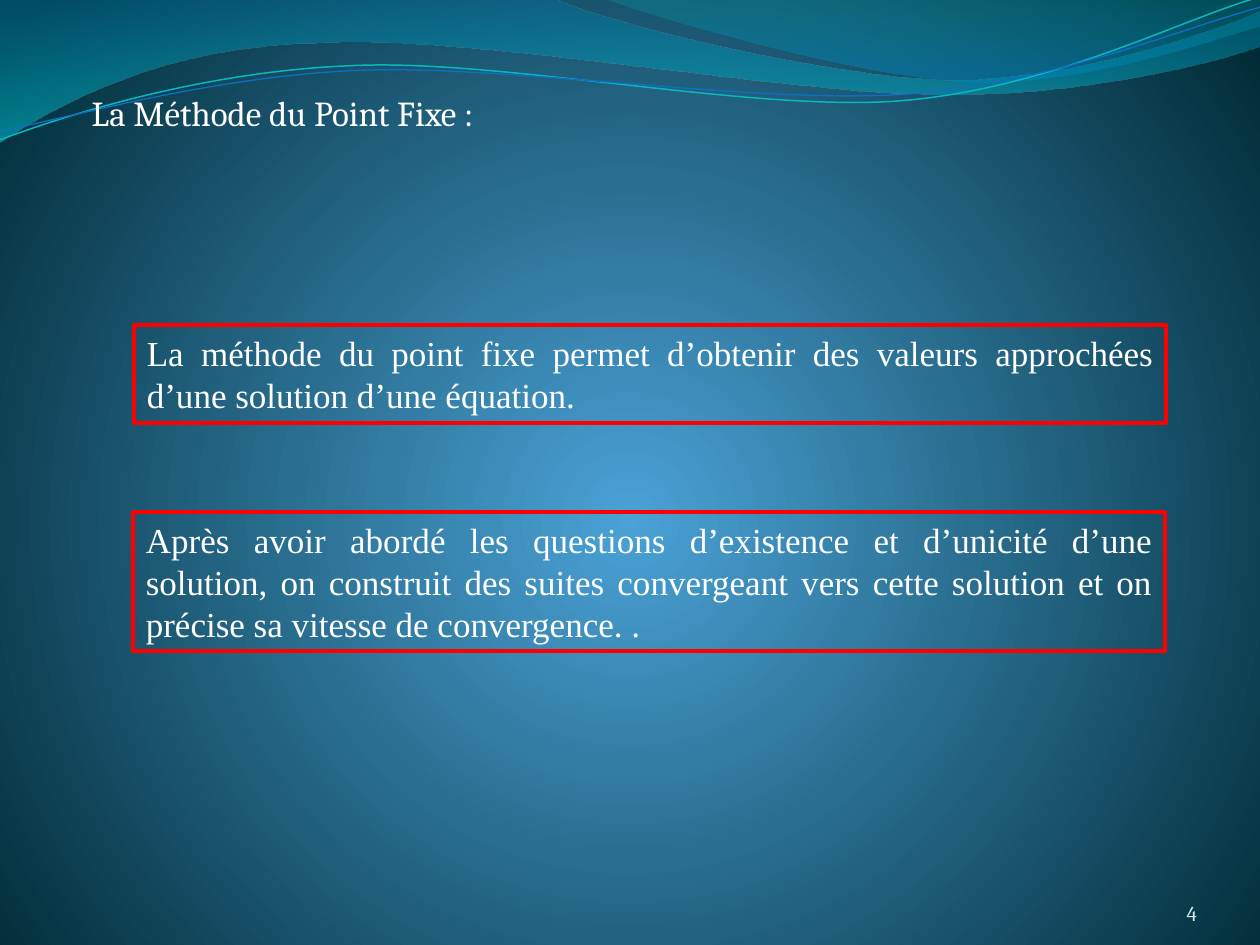
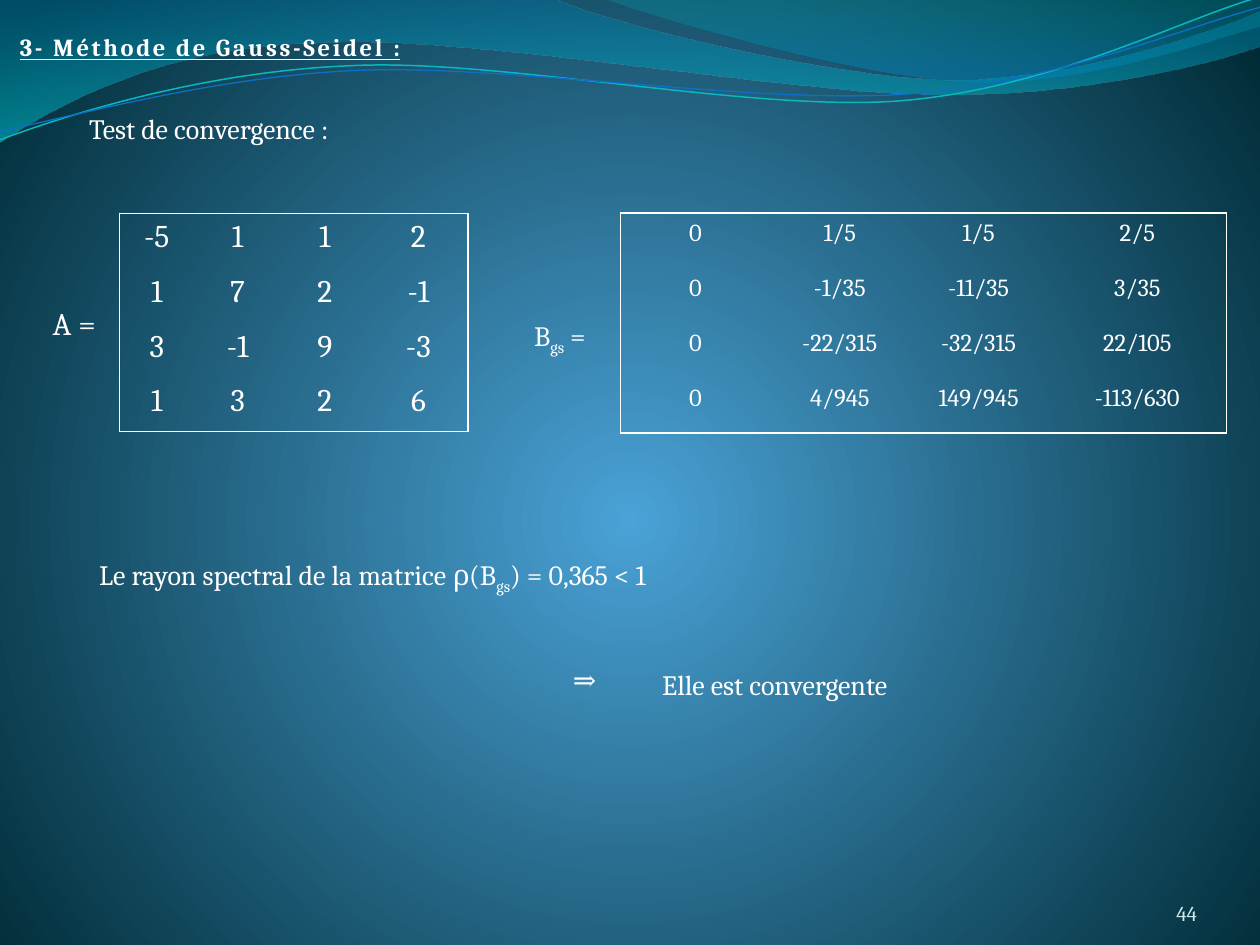
from lxml import etree
from pptx import Presentation
from pptx.dml.color import RGBColor
from pptx.enum.shapes import MSO_SHAPE
from pptx.enum.text import MSO_ANCHOR, MSO_AUTO_SIZE, PP_ALIGN
from pptx.oxml.ns import qn
from pptx.util import Cm, Pt

WHITE = RGBColor(0xFF, 0xFF, 0xFF)
RED = RGBColor(0xFF, 0x00, 0x00)
PALE = RGBColor(0xD1, 0xEA, 0xED)
SKY = RGBColor(0x4A, 0xA2, 0xD6)
NIGHT = RGBColor(0x00, 0x2B, 0x36)
BLUE = RGBColor(0x00, 0x74, 0xA0)
CYAN = RGBColor(0x00, 0xC4, 0xCD)
AZURE = RGBColor(0x00, 0x8A, 0xBF)
TEAL = RGBColor(0x00, 0xA0, 0xA8)
TURQUOISE = RGBColor(0x09, 0xB7, 0xBF)
COBALT = RGBColor(0x0F, 0x6F, 0xC6)

LEFT, CENTER, RIGHT, JUSTIFY = PP_ALIGN.LEFT, PP_ALIGN.CENTER, PP_ALIGN.RIGHT, PP_ALIGN.JUSTIFY
TOP, BOTTOM = MSO_ANCHOR.TOP, MSO_ANCHOR.BOTTOM
GROW, FIXED = MSO_AUTO_SIZE.SHAPE_TO_FIT_TEXT, MSO_AUTO_SIZE.NONE
RECTANGLE = MSO_SHAPE.RECTANGLE

HEADING_FONT = "Cambria"
BODY_FONT = "Times New Roman"
PLAIN_TABLE = "{2D5ABB26-0587-4C30-8999-92F81FD0307C}"
WAVE_TILT = 357.3

WIDE_BAND = ((0, 0), [
    [(11.18, -0.03)],
    [(12.09, 0.43), (16.87, 1.6), (19.25, 1.6)],
    [(21.67, 1.6), (24.33, 0.66), (25.4, 0.23)],
    [(25.43, 0.91)],
    [(24.97, 1.12), (22.1, 1.93), (18.95, 1.9)],
    [(15.8, 1.9), (9.7, 0.71), (6.53, 0.86)],
    [(3.28, 0.89), (1.17, 2.11), (-0.03, 2.87)],
])
CORNER_BAND = ((12.17, -0.03), [
    [(12.93, 0.28), (17.32, 1.57), (19.53, 1.65)],
    [(21.74, 1.75), (24.41, 0.81), (25.4, 0.53)],
    [(25.4, 0)],
])
UPPER_WAVE = ((-0.05, 2.22), [
    [(1.19, 1.82), (4.02, 1.04), (7.05, 1.06)],
    [(10.05, 1.04), (15.02, 2.37), (18.08, 2.29)],
    [(21.13, 2.2), (23.86, 0.91), (25.41, 0.55)],
])
LOWER_WAVE = ((-0.04, 2.04), [
    [(1.16, 1.89), (4.17, 1.15), (7.2, 1.16)],
    [(10.25, 1.18), (15.13, 2.22), (18.19, 2.16)],
    [(21.22, 2.1), (23.93, 1.06), (25.45, 0.75)],
])

MATRIX_A = [
    ["-5", "1", "1", "2"],
    ["1", "7", "2", "-1"],
    ["3", "-1", "9", "-3"],
    ["1", "3", "2", "6"],
]
MATRIX_BGS = [
    ["0", "1/5", "1/5", "2/5"],
    ["0", "-1/35", "-11/35", "3/35"],
    ["0", "-22/315", "-32/315", "22/105"],
    ["0", "4/945", "149/945", "-113/630"],
]


def add_child(parent, tag, **attributes):
    child = etree.SubElement(parent, qn(tag))
    for name, value in attributes.items():
        child.set(name, str(value))
    return child


def add_color(parent, color, opacity=100):
    solid = add_child(parent, "a:srgbClr", val=color)
    if opacity < 100:
        add_child(solid, "a:alpha", val=opacity * 1000)


def set_gradient(fill, element, stops, angle=None):
    fill.gradient()
    gradient = element.find(".//" + qn("a:gradFill"))
    for child in list(gradient):
        gradient.remove(child)
    stop_list = add_child(gradient, "a:gsLst")
    for position, color, opacity in stops:
        add_color(add_child(stop_list, "a:gs", pos=position * 1000), color, opacity)
    if angle is None:
        circle = add_child(gradient, "a:path", path="circle")
        add_child(circle, "a:fillToRect", l=50000, t=55000, r=50000, b=45000)
    else:
        add_child(gradient, "a:lin", ang=angle * 60000, scaled=0)


def bend_lines(shape, segments):
    lines = iter(shape._element.findall(".//" + qn("a:lnTo")))
    for segment in segments:
        first, *others = [next(lines) for _ in segment]
        if others:
            curve = etree.Element(qn("a:cubicBezTo"))
            first.addprevious(curve)
            for line in (first, *others):
                curve.append(line[0])
                line.getparent().remove(line)


def write(frame, text, size=16, font=HEADING_FONT, color=WHITE, align=LEFT,
          bold=False, underline=False, spacing=0):
    para = frame.paragraphs[0]
    para.alignment = align
    for index, part in enumerate(text.split("_")):
        span = para.add_run()
        span.text = part
        span.font.name = font
        span.font.size = Pt(size)
        span.font.color.rgb = color
        span.font.bold = bold
        span.font.underline = underline
        properties = span.font._element
        if spacing:
            properties.set("spc", str(int(spacing * 100)))
        if index % 2:
            properties.set("baseline", "-25000")


class SlideMaker:
    def __init__(self):
        self.deck = Presentation()
        self.deck.slide_width = Cm(25.4)
        self.deck.slide_height = Cm(19.05)
        master = self.deck.slide_master
        set_gradient(master.background.fill, master.element, [(0, SKY, 100), (100, NIGHT, 100)])
        self.page = None

    def new_page(self, number):
        self.page = self.deck.slides.add_slide(self.deck.slide_layouts[6])
        self.band(WIDE_BAND, [(0, BLUE, 45), (100, CYAN, 55)], 90)
        self.band(CORNER_BAND, [(20, AZURE, 45), (100, TEAL, 30)], 270)
        self.wave(UPPER_WAVE, TURQUOISE, 0.85)
        self.wave(LOWER_WAVE, COBALT, 0.75)
        self.text(number, 22.02, 17.65, 2.11, 1.02, margin=0, anchor=BOTTOM, autosize=FIXED,
                  size=12, color=PALE, align=RIGHT)

    def outline(self, curve, close):
        start, segments = curve
        builder = self.page.shapes.build_freeform(Cm(start[0]), Cm(start[1]))
        points = [(Cm(x), Cm(y)) for segment in segments for x, y in segment]
        builder.add_line_segments(points, close=close)
        shape = builder.convert_to_shape()
        shape.shadow.inherit = False
        bend_lines(shape, segments)
        return shape

    def band(self, curve, stops, angle):
        shape = self.outline(curve, True)
        shape.line.fill.background()
        set_gradient(shape.fill, shape._element, stops, angle)

    def wave(self, curve, color, width):
        shape = self.outline(curve, False)
        shape.rotation = WAVE_TILT
        shape.fill.background()
        shape.line.color.rgb = color
        shape.line.width = Pt(width)

    def fill_frame(self, frame, text, margin=None, anchor=TOP, autosize=GROW, wrap=True, **style):
        frame.word_wrap = wrap
        frame.auto_size = autosize
        frame.vertical_anchor = anchor
        if margin is not None:
            frame.margin_left = frame.margin_right = Cm(margin)
            frame.margin_top = frame.margin_bottom = Cm(margin)
        write(frame, text, **style)

    def text(self, text, left, top, width, height, **style):
        box = self.page.shapes.add_textbox(Cm(left), Cm(top), Cm(width), Cm(height))
        self.fill_frame(box.text_frame, text, **style)

    def framed_text(self, text, left, top, width, height):
        box = self.page.shapes.add_shape(RECTANGLE, Cm(left), Cm(top), Cm(width), Cm(height))
        box.shadow.inherit = False
        box.fill.background()
        box.line.color.rgb = RED
        box.line.width = Pt(2.25)
        self.fill_frame(box.text_frame, text, size=20, font=BODY_FONT, align=JUSTIFY)

    def matrix(self, values, left, top, widths, row_height, size):
        last_row, last_column = len(values) - 1, len(widths) - 1
        holder = self.page.shapes.add_table(
            len(values), len(widths), Cm(left), Cm(top),
            Cm(sum(widths)), Cm(row_height * len(values)))
        table = holder.table
        table.first_row = table.horz_banding = False
        holder._element.find(".//" + qn("a:tableStyleId")).text = PLAIN_TABLE
        for column, width in zip(table.columns, widths):
            column.width = Cm(width)
        for r, row in enumerate(values):
            table.rows[r].height = Cm(row_height)
            for c, value in enumerate(row):
                cell = table.cell(r, c)
                edges = {"a:lnL": c == 0, "a:lnR": c == last_column,
                         "a:lnT": r == 0, "a:lnB": r == last_row}
                self.cell_borders(cell, [tag for tag, outer in edges.items() if outer])
                cell.fill.background()
                write(cell.text_frame, value, size=size, align=CENTER)

    def cell_borders(self, cell, tags):
        properties = cell._tc.get_or_add_tcPr()
        for tag in tags:
            line = add_child(properties, tag, w=Pt(0.96))
            add_color(add_child(line, "a:solidFill"), WHITE)


def fixed_point(maker):
    maker.new_page("4")
    maker.framed_text("La méthode du point fixe permet d’obtenir des valeurs approchées "
                      "d’une solution d’une équation.", 2.71, 6.56, 20.8, 1.97)
    maker.text("La Méthode du Point Fixe :", 1.6, 1.73, 15.11, 1.12, size=20)
    maker.framed_text("Après avoir abordé les questions d’existence et d’unicité d’une solution, "
                      "on construit des suites convergeant vers cette solution et on précise "
                      "sa vitesse de convergence. .", 2.69, 10.33, 20.8, 2.8)


def gauss_seidel(maker):
    maker.new_page("44")
    maker.text("A =", 0.81, 6.01, 1.6, 1.02, size=18)
    maker.matrix(MATRIX_A, 2.41, 4.3, [1.5, 1.76, 1.76, 2.01], 1.1, 18)
    maker.text("Test de convergence :", 1.55, 2.13, 6.76, 0.94)
    maker.text("Le rayon spectral de la matrice ρ(B_gs_) = 0,365 < 1", 1.75, 11.11, 13.11, 0.94)
    maker.text("Elle est convergente", 13.1, 13.34, 5.69, 0.94)
    maker.text("⇒", 11.3, 13.23, 1.07, 0.94, wrap=False)
    maker.text("B_gs_ =", 10.52, 6.3, 1.7, 0.94)
    maker.matrix(MATRIX_BGS, 12.51, 4.29, [3.02, 2.8, 2.8, 3.6], 1.11, 14)
    maker.text("3- Méthode de Gauss-Seidel :", 0.15, 0.53, 9.35, 0.84,
               size=14, bold=True, underline=True, spacing=1.5)


def main():
    maker = SlideMaker()
    fixed_point(maker)
    gauss_seidel(maker)
    maker.deck.save("out.pptx")


if __name__ == "__main__":
    main()
